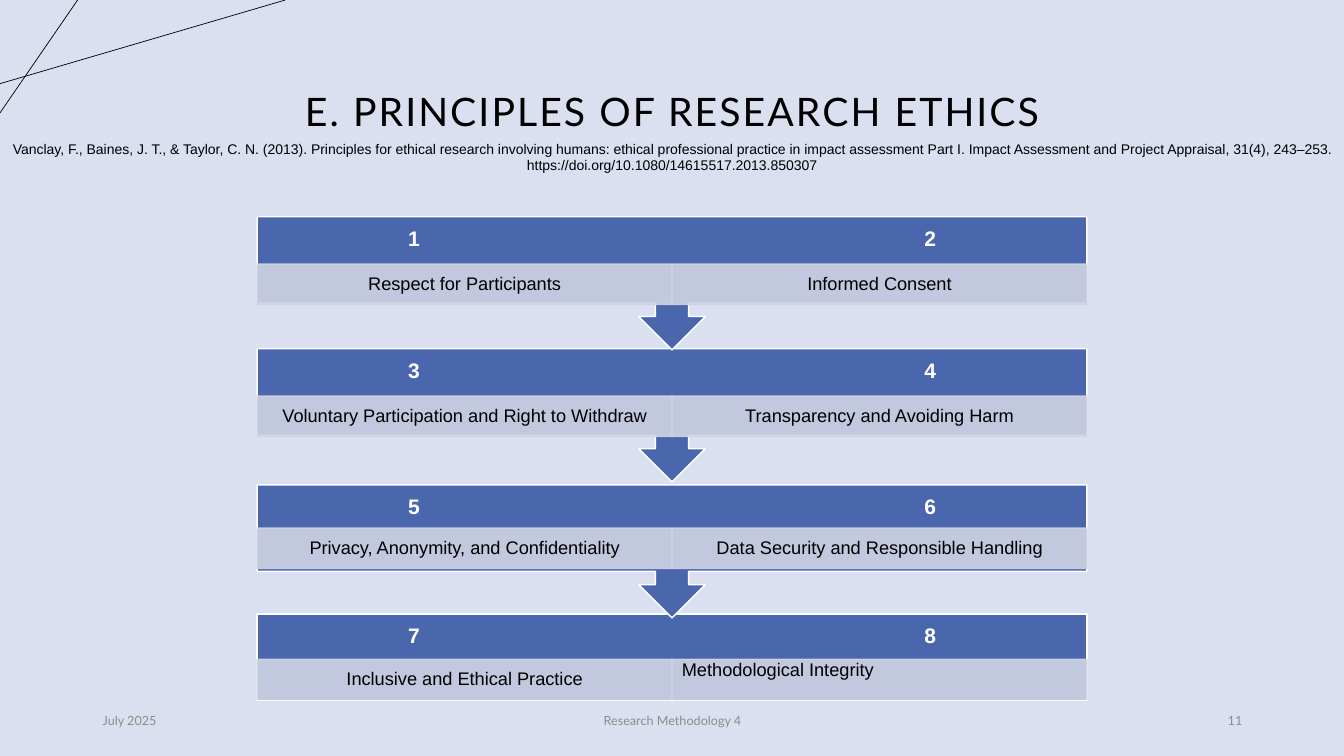
"""Build the slide on the principles of research ethics."""
from dataclasses import dataclass

from lxml.etree import SubElement
from pptx import Presentation
from pptx.dml.color import RGBColor
from pptx.enum.shapes import MSO_CONNECTOR, MSO_SHAPE
from pptx.enum.text import MSO_ANCHOR, MSO_AUTO_SIZE, PP_ALIGN
from pptx.oxml.ns import qn
from pptx.util import Inches, Pt

TITLE = "E. PRINCIPLES OF RESEARCH ETHICS"
CITATION = (
    "Vanclay, F., Baines, J. T., & Taylor, C. N. (2013). Principles for ethical "
    "research involving humans: ethical professional practice in impact assessment "
    "Part I. Impact Assessment and Project Appraisal, 31(4), 243–253. "
    "https://doi.org/10.1080/14615517.2013.850307"
)
STAGES = [
    {"top": 2.15, "cell_top": 2.62, "principles": ("Respect for Participants", "Informed Consent")},
    {"top": 3.46, "cell_top": 3.93, "principles": (
        "Voluntary Participation and Right to Withdraw", "Transparency and Avoiding Harm")},
    {"top": 4.81, "cell_top": 5.24, "principles": (
        "Privacy, Anonymity, and Confidentiality", "Data Security and Responsible Handling")},
    {"top": 6.09, "cell_top": 6.54, "principles": (
        "Inclusive and Ethical Practice", "Methodological Integrity")},
]
FOOTERS = [
    ("July 2025", 0.92, 3, PP_ALIGN.LEFT),
    ("Research Methodology 4", 4.42, 4.5, PP_ALIGN.CENTER),
    ("11", 9.42, 3, PP_ALIGN.RIGHT),
]
CORNER_LINES = [((0, 0.83), (2.83, 0)), ((0.77, 0), (0, 1.12))]

SLIDE_W, SLIDE_H = 13.33, 7.5
BAND_LEFT, BAND_W = 2.55, 8.23
CALLOUT_H, LAST_BAND_H, HEADING_H, CELL_H = 1.32, 0.86, 0.46, 0.4
HEADING_INSET, NUMBER_SHIFT = 0.12, 2.56
CELL_INSETS = (0.1, 0.02)


@dataclass(frozen=True)
class Theme:
    background: str = "DAE0EF"
    band: str = "4A66AC"
    cell: str = "D0D3E3"
    light: str = "FFFFFF"
    dark: str = "000000"
    muted: str = "8C8C8C"
    display: str = "Lato"
    body: str = "Arial"
    title_size: int = 28
    number_size: int = 15
    principle_size: int = 13
    citation_size: int = 10
    footer_size: int = 9
    cell_opacity: int = 90


THEME = Theme()


def rgb(colour):
    return RGBColor.from_string(colour)


def box(left, top, width, height):
    return [Inches(length) for length in (left, top, width, height)]


def write(shape, text, font, size, colour, align, insets=(0.1, 0.05),
          anchor=MSO_ANCHOR.MIDDLE, spacing=None, bold=False, tabs=()):
    frame = shape.text_frame
    frame.text = text
    frame.word_wrap = True
    frame.vertical_anchor = anchor
    frame.margin_left = frame.margin_right = Inches(insets[0])
    frame.margin_top = frame.margin_bottom = Inches(insets[1])
    paragraph = frame.paragraphs[0]
    paragraph.alignment = align
    if spacing:
        paragraph.line_spacing = spacing
    if tabs:
        tab_list = SubElement(paragraph._p.get_or_add_pPr(), qn("a:tabLst"))
        for position in tabs:
            SubElement(tab_list, qn("a:tab"), pos=str(Inches(position)), algn="ctr")
    for run in paragraph.runs:
        run.font.name = font
        run.font.size = Pt(size)
        run.font.bold = bold
        run.font.color.rgb = rgb(colour)
    return frame


def add_block(slide, kind, area, fill, line, opacity=100):
    block = slide.shapes.add_shape(kind, *box(*area))
    block.shadow.inherit = False
    block.fill.solid()
    block.fill.fore_color.rgb = rgb(fill)
    block.line.color.rgb = rgb(line)
    block.line.width = Pt(1)
    if opacity < 100:
        for colour in block._element.spPr.iter(qn("a:srgbClr")):
            SubElement(colour, qn("a:alpha"), val=str(opacity * 1000))
    return block


def add_stage(slide, index, stage):
    is_last = index == len(STAGES) - 1
    kind = MSO_SHAPE.RECTANGLE if is_last else MSO_SHAPE.UP_ARROW_CALLOUT
    height = LAST_BAND_H if is_last else CALLOUT_H
    band = add_block(slide, kind, (BAND_LEFT, stage["top"], BAND_W, height),
                     THEME.band, THEME.light)
    band.rotation = 0 if is_last else 180

    heading = slide.shapes.add_textbox(*box(BAND_LEFT, stage["top"], BAND_W, HEADING_H))
    middle = BAND_W / 2 - HEADING_INSET
    write(heading, f"\t{2 * index + 1}\t{2 * index + 2}", THEME.body, THEME.number_size,
          THEME.light, PP_ALIGN.LEFT, (HEADING_INSET, HEADING_INSET), spacing=0.9, bold=True,
          tabs=(middle - NUMBER_SHIFT, middle + NUMBER_SHIFT))

    cell_w = BAND_W / 2
    for column, principle in enumerate(stage["principles"]):
        cell = add_block(slide, MSO_SHAPE.RECTANGLE,
                         (BAND_LEFT + column * cell_w, stage["cell_top"], cell_w, CELL_H),
                         THEME.cell, THEME.cell, THEME.cell_opacity)
        at_corner = is_last and column == 1
        write(cell, principle, THEME.body, THEME.principle_size, THEME.dark,
              PP_ALIGN.LEFT if at_corner else PP_ALIGN.CENTER, CELL_INSETS,
              MSO_ANCHOR.TOP if at_corner else MSO_ANCHOR.MIDDLE, spacing=0.9)


def main():
    deck = Presentation()
    deck.slide_width, deck.slide_height = Inches(SLIDE_W), Inches(SLIDE_H)
    slide = deck.slides.add_slide(deck.slide_layouts.get_by_name("Title Only"))
    slide.background.fill.solid()
    slide.background.fill.fore_color.rgb = rgb(THEME.background)

    for start, end in CORNER_LINES:
        line = slide.shapes.add_connector(MSO_CONNECTOR.STRAIGHT, *box(*start, *end))
        line.line.color.rgb = rgb(THEME.dark)
        line.line.width = Pt(0.5)
        SubElement(line._element.spPr, qn("a:effectLst"))

    title = slide.shapes.title
    title.left, title.top, title.width, title.height = box(0.92, 0.4, 11.5, 1.45)
    heading = write(title, TITLE, THEME.display, THEME.title_size, THEME.dark,
                    PP_ALIGN.CENTER, spacing=0.9)
    heading.paragraphs[0].runs[0].font._element.set("spc", "150")

    for text, left, width, align in FOOTERS:
        footer = slide.shapes.add_textbox(*box(left, 6.95, width, 0.4))
        write(footer, text, THEME.display, THEME.footer_size, THEME.muted, align)

    for index, stage in reversed(list(enumerate(STAGES))):
        add_stage(slide, index, stage)

    citation = slide.shapes.add_textbox(*box(0, 1.34, SLIDE_W, 0.44))
    frame = write(citation, CITATION, THEME.body, THEME.citation_size, THEME.dark,
                  PP_ALIGN.CENTER, anchor=MSO_ANCHOR.TOP)
    frame.auto_size = MSO_AUTO_SIZE.SHAPE_TO_FIT_TEXT

    deck.save("out.pptx")


if __name__ == "__main__":
    main()
